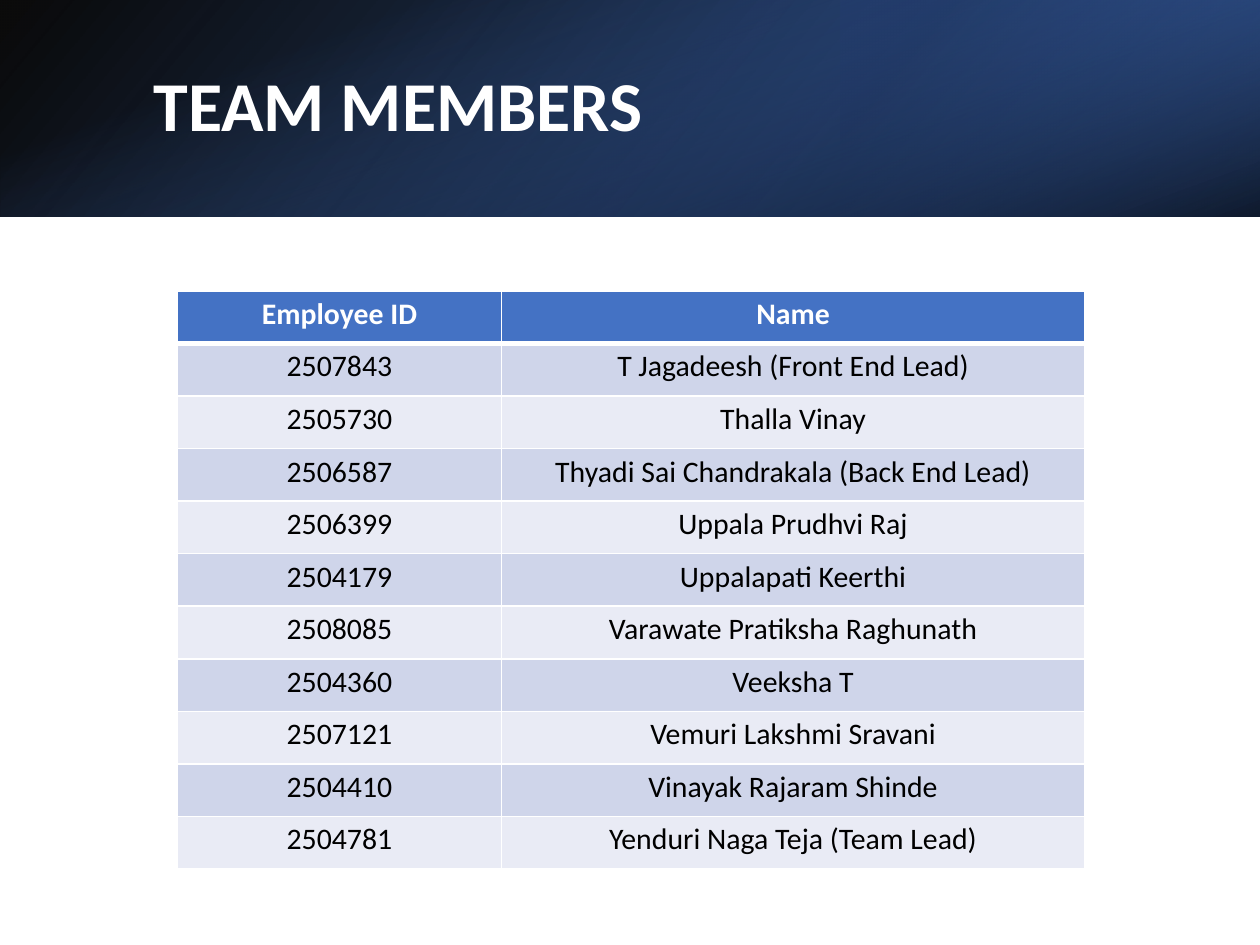
from lxml import etree
from pptx import Presentation
from pptx.dml.color import RGBColor
from pptx.enum import shapes, text
from pptx.oxml import ns
from pptx.util import Inches, Pt

# Content
TITLE = "TEAM MEMBERS"
HEADINGS = ("Employee ID", "Name")
MEMBERS = [
    ("2507843", "T Jagadeesh (Front End Lead)"),
    ("2505730", "Thalla Vinay"),
    ("2506587", "Thyadi Sai Chandrakala (Back End Lead)"),
    ("2506399", "Uppala Prudhvi Raj"),
    ("2504179", "Uppalapati Keerthi"),
    ("2508085", "Varawate Pratiksha Raghunath"),
    ("2504360", "Veeksha T"),
    ("2507121", "Vemuri Lakshmi Sravani"),
    ("2504410", "Vinayak Rajaram Shinde"),
    ("2504781", "Yenduri Naga Teja (Team Lead)"),
]

# Style
FONT = "Calibri"
WHITE = RGBColor(0xFF, 0xFF, 0xFF)
BLACK = RGBColor(0x00, 0x00, 0x00)
BLUE = RGBColor(0x44, 0x72, 0xC4)
DEEP_BLUE = RGBColor(0x2F, 0x55, 0x97)
NAVY = RGBColor(0x20, 0x38, 0x64)
BAND_DARK = RGBColor(0xCF, 0xD5, 0xEA)
BAND_LIGHT = RGBColor(0xE9, 0xEB, 0xF5)

# Banner layers: box, rotation, flipped, clockwise angle, stops (percent, colour, opacity)
BANNER = [
    ((0, 0, 10, 1.72), 0, True, 140, [(0, BLACK, 96), (100, DEEP_BLUE, 100)]),
    ((6.67, 0, 3.33, 1.72), 180, True, 320, [(19, NAVY, 68), (100, BLUE, 79)]),
    ((4.14, -4.14, 1.72, 10), 90, False, 340, [(23, BLUE, 0), (99, BLACK, 74)]),
]
TABLE_BOX = (1.41, 2.31, 7.2, 4.59)
COLUMN_WIDTHS = (2.57, 4.63)


def add_banner_layer(page, box, rotation, flipped, angle, stops):
    layer = page.shapes.add_shape(shapes.MSO_SHAPE.RECTANGLE, *map(Inches, box))
    layer.shadow.inherit = False
    layer.line.fill.background()
    layer.rotation = rotation
    properties = layer._element.spPr
    if flipped:
        properties.find(ns.qn("a:xfrm")).set("flipH", "1")
    layer.fill.gradient()
    layer.fill.gradient_angle = 360 - angle
    for stop, (percent, colour, _) in zip(layer.fill.gradient_stops, stops):
        stop.position = percent / 100
        stop.color.rgb = colour
    colours = properties.find(ns.qn("a:gradFill")).iter(ns.qn("a:srgbClr"))
    for colour, (_, _, opacity) in zip(colours, stops):
        etree.SubElement(colour, ns.qn("a:alpha"), val=str(opacity * 1000))


def add_text(frame, words, size, colour, bold):
    para = frame.paragraphs[0]
    span = para.add_run()
    span.text = words
    span.font.name = FONT
    span.font.size = Pt(size)
    span.font.bold = bold
    span.font.color.rgb = colour
    return para


def set_borders(cell, widths):
    # Border lines come before the fill in the cell properties
    properties = cell._tc.get_or_add_tcPr()
    for place, (side, width) in enumerate(widths.items()):
        line = etree.Element(ns.qn(f"a:ln{side}"), w=str(Pt(width)))
        fill = etree.SubElement(line, ns.qn("a:solidFill"))
        etree.SubElement(fill, ns.qn("a:srgbClr"), val=str(WHITE))
        properties.insert(place, line)


def add_member_table(page):
    rows = [HEADINGS] + MEMBERS
    left, top, width, height = map(Inches, TABLE_BOX)
    table = page.shapes.add_table(len(rows), len(HEADINGS), left, top, width, height).table
    for column, column_width in zip(table.columns, COLUMN_WIDTHS):
        column.width = Inches(column_width)
    for r, values in enumerate(rows):
        table.rows[r].height = height // len(rows)
        header = r == 0
        band = BLUE if header else BAND_DARK if r % 2 else BAND_LIGHT
        widths = {"L": 1, "R": 1, "T": 3 if r == 1 else 1, "B": 3 if header else 1}
        for c, value in enumerate(values):
            cell = table.cell(r, c)
            cell.margin_left = cell.margin_right = Inches(0.1)
            cell.margin_top = cell.margin_bottom = Inches(0.04)
            cell.fill.solid()
            cell.fill.fore_color.rgb = band
            set_borders(cell, widths)
            para = add_text(cell.text_frame, value, 17, WHITE if header else BLACK, header)
            para.alignment = text.PP_ALIGN.CENTER


def main():
    deck = Presentation()
    deck.slide_width, deck.slide_height = Inches(10), Inches(7.5)
    page = deck.slides.add_slide(deck.slide_layouts[5])
    page.background.fill.solid()
    page.background.fill.fore_color.rgb = WHITE

    # Banner
    for layer in BANNER:
        add_banner_layer(page, *layer)

    # Title, brought in front of the banner
    title = page.shapes.title
    page.shapes._spTree.append(title._element)
    title.left, title.top = Inches(1.12), Inches(0.38)
    title.width, title.height = Inches(8.24), Inches(0.96)
    frame = title.text_frame
    frame.word_wrap = True
    frame.auto_size = text.MSO_AUTO_SIZE.NONE
    frame.vertical_anchor = text.MSO_ANCHOR.MIDDLE
    para = add_text(frame, TITLE, 40, WHITE, True)
    para.alignment = text.PP_ALIGN.LEFT
    para.line_spacing = 0.9

    # Table
    add_member_table(page)
    deck.save("out.pptx")


if __name__ == "__main__":
    main()
